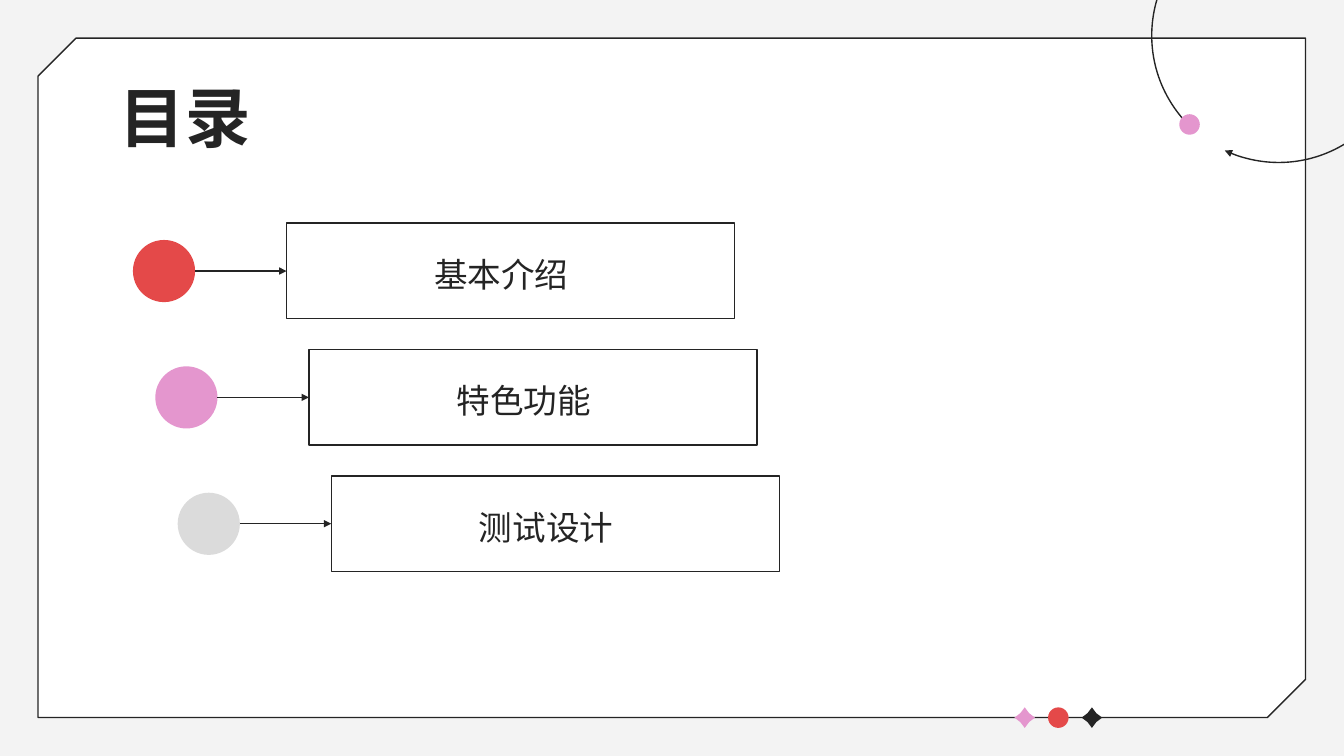
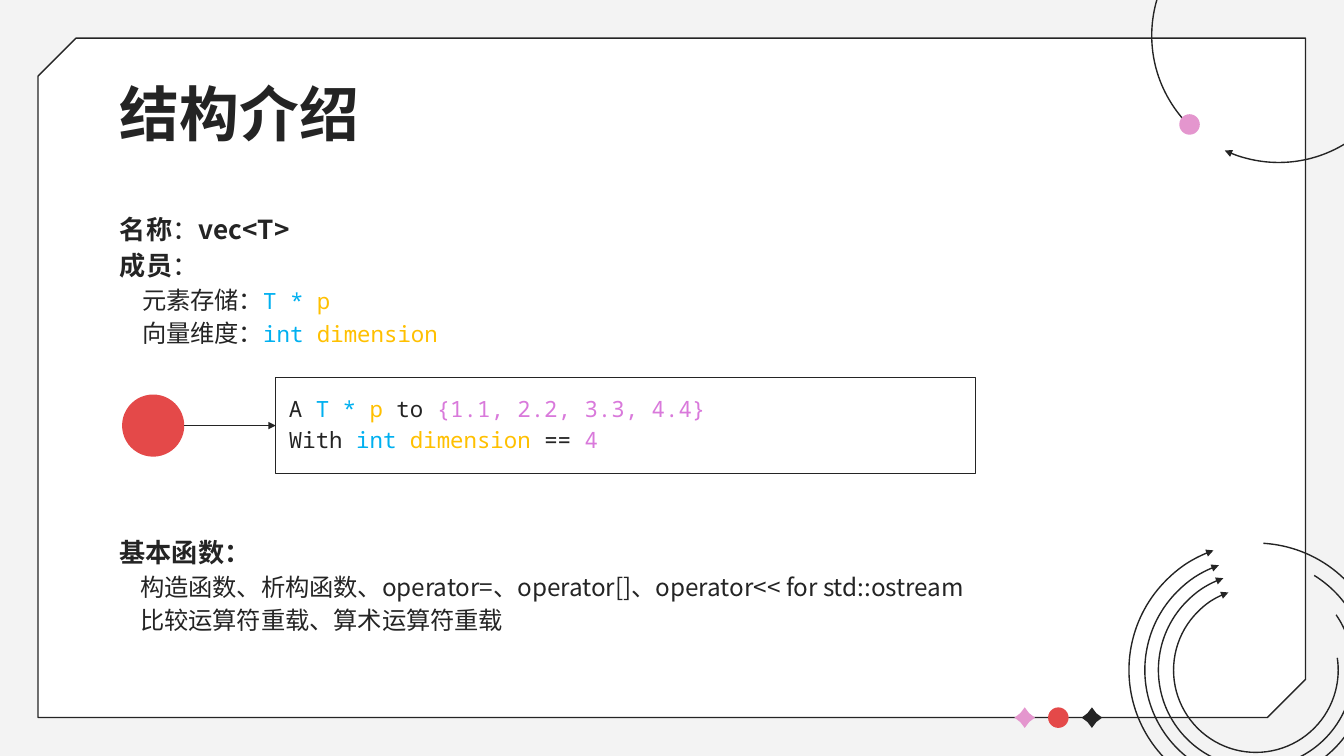
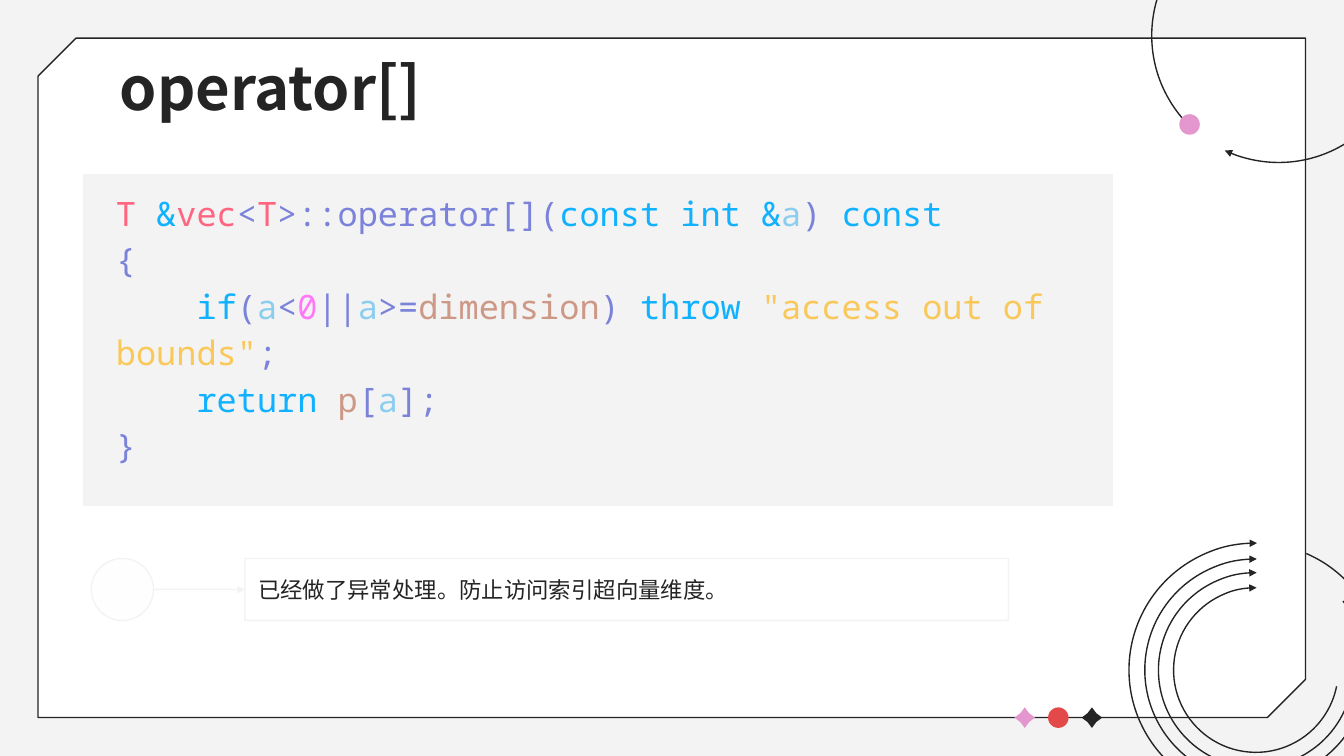
"""Builds three slides that introduce a vector class template."""
from lxml.etree import SubElement
from pptx import Presentation
from pptx.dml.color import RGBColor
from pptx.enum.shapes import MSO_CONNECTOR as Connector, MSO_SHAPE as Shape
from pptx.enum.text import MSO_ANCHOR as Anchor, MSO_AUTO_SIZE as AutoSize, PP_ALIGN as Align
from pptx.oxml.ns import qn
from pptx.util import Pt

COLORS = {
    "paper": "F3F3F3", "white": "FFFFFF", "ink": "242424",
    "pink": "E496CE", "red": "E44949", "gray": "DBDBDB",
    "faint": "E9E9E9", "pale": "FEFEFE",
    "type": "00B0F0", "member": "FFC000", "value": "D979DB",
    "template": "FF6480", "keyword": "10B1FE", "symbol": "7A82DA",
    "argument": "8BCDEF", "number": "FF78F8", "field": "CE9887", "string": "F9C859",
}
SANS, MONO = "Noto Sans CJK SC", "Noto Sans Mono"
MARGIN = 57
CIRCLE, ARROW = 33.3, 49
RINGS = [(136, 137.09), (119, 154.05), (104.4, 168.35), (88.2, 183.91)]


def rgb(name):
    """Return the named colour."""
    return RGBColor.from_string(COLORS[name])


def set_alpha(fill_owner, percent):
    """Make the solid colour inside an XML element partly transparent."""
    SubElement(fill_owner.find(".//" + qn("a:srgbClr")), qn("a:alpha"), val=str(percent * 1000))


def style_line(shape, color, width=0.75, alpha=None, arrow=False):
    """Set the outline of a shape or connector."""
    shape.line.color.rgb = rgb(color)
    shape.line.width = Pt(width)
    line = shape._element.spPr.find(qn("a:ln"))
    if alpha:
        set_alpha(line, alpha)
    if arrow:
        SubElement(line, qn("a:tailEnd"), type="triangle", w="sm", len="sm")


def add_figure(slide, kind, left, top, width, height, *, fill=None, line=None,
               line_width=0.75, alpha=None, arrow=False, rotation=0, adjust=()):
    """Add a preset shape without shadow."""
    figure = slide.shapes.add_shape(kind, Pt(left), Pt(top), Pt(width), Pt(height))
    figure.shadow.inherit = False
    figure.rotation = rotation
    for index, value in enumerate(adjust):
        figure.adjustments[index] = value
    if fill:
        figure.fill.solid()
        figure.fill.fore_color.rgb = rgb(fill)
        if alpha:
            set_alpha(figure._element.spPr.find(qn("a:solidFill")), alpha)
    else:
        figure.fill.background()
    if line:
        style_line(figure, line, line_width, alpha, arrow)
    else:
        figure.line.fill.background()
    return figure


def add_arrow(slide, left, right, y, color, alpha=None):
    """Add a horizontal arrow that points right."""
    arrow = slide.shapes.add_connector(Connector.STRAIGHT, Pt(left), Pt(y), Pt(right), Pt(y))
    style_line(arrow, color, alpha=alpha, arrow=True)
    SubElement(arrow._element.spPr, qn("a:effectLst"))


def prepare_frame(box, anchor=Anchor.TOP):
    """Give a text frame the shared insets and wrapping."""
    frame = box.text_frame
    frame.word_wrap = True
    frame.auto_size = AutoSize.NONE
    frame.vertical_anchor = anchor
    frame.margin_left = frame.margin_right = Pt(7.2)
    frame.margin_top = frame.margin_bottom = Pt(7.2)


def write(box, *spans, font=SANS, size=14, color="ink", bold=False, left=0, first=0, spacing=1.15):
    """Write one paragraph of (text, format changes) spans."""
    frame = box.text_frame
    para = frame.paragraphs[0]
    if para.runs:
        para = frame.add_paragraph()
    para.alignment = Align.LEFT
    para.line_spacing = spacing
    para.space_before = para.space_after = Pt(0)
    properties = para._p.get_or_add_pPr()
    properties.set("marL", str(Pt(left)))
    properties.set("indent", str(Pt(first)))
    SubElement(properties, qn("a:buNone"))
    for text, changes in spans:
        look = {"font": font, "size": size, "color": color, "bold": bold, **changes}
        span = para.add_run()
        span.text = text
        span.font.name = look["font"]
        span.font.size = Pt(look["size"])
        span.font.bold = look["bold"]
        span.font.color.rgb = rgb(look["color"])
        SubElement(span.font._element, qn("a:ea"), typeface=SANS)


def write_code(box, *tokens, **look):
    """Write one line of code from (text, colour) tokens."""
    write(box, *[(text, {"color": color}) for text, color in tokens], font=MONO, **look)


def place(box, left, top, width, height):
    """Bring a placeholder to the front, then move and size it."""
    box._element.getparent().append(box._element)
    box.left, box.top, box.width, box.height = Pt(left), Pt(top), Pt(width), Pt(height)
    prepare_frame(box)


def add_page(deck, layout, title, top=34, size=32, font=SANS):
    """Add a slide with the shared frame, ornaments and title."""
    page = deck.slides.add_slide(deck.slide_layouts.get_by_name(layout))
    add_figure(page, Shape.SNIP_2_DIAG_RECTANGLE, 20.4, 20.4, 679, 364,
               fill="white", line="ink", adjust=(0.056, 0))
    markers = [(Shape.STAR_4_POINT, "pink"), (Shape.OVAL, "red"), (Shape.STAR_4_POINT, "ink")]
    for index, (kind, color) in enumerate(markers):
        adjust = (0.303,) if kind == Shape.STAR_4_POINT else ()
        add_figure(page, kind, 543.5 + 18 * index, 379, 11, 11, fill=color, adjust=adjust)
    add_figure(page, Shape.ARC, 617, -49, 136, 136, line="ink", arrow=True,
               rotation=225, adjust=(162, 150.08))
    add_figure(page, Shape.OVAL, 631.8, 61.2, 11, 11, fill="pink")
    place(page.shapes.title, MARGIN, top, 607, 45.4)
    write(page.shapes.title, (title, {}), size=size, font=font, bold=True, spacing=1)
    return page


def add_rings(page, rotation):
    """Add the concentric open rings in the lower right corner."""
    for size, start in RINGS:
        add_figure(page, Shape.ARC, 672.8 - size / 2, 359 - size / 2, size, size,
                   line="ink", arrow=True, rotation=rotation, adjust=(start, 123.35))


def add_callout(page, left, top, width, height, *, fill, line="ink", circle_line=None,
                alpha=None, anchor=Anchor.TOP):
    """Add a text box with a circle and an arrow leading to it."""
    middle = top + height / 2
    box = add_figure(page, Shape.RECTANGLE, left, top, width, height, line=line, alpha=alpha)
    prepare_frame(box, anchor)
    add_figure(page, Shape.OVAL, left - ARROW - CIRCLE, middle - CIRCLE / 2, CIRCLE, CIRCLE,
               fill=fill, line=circle_line, alpha=alpha)
    add_arrow(page, left - ARROW, left, middle, line, alpha)
    return box


def build_contents(deck):
    """Build the table of contents."""
    page = add_page(deck, "Title Only", "目录", size=35, font="Roboto")
    topics = [("基本介绍", "red"), ("特色功能", "pink"), ("测试设计", "gray")]
    for index, (topic, color) in enumerate(topics):
        box = add_callout(page, 153.5 + 12 * index, 119.6 + 67.7 * index, 240, 51.2,
                          fill=color, anchor=Anchor.MIDDLE)
        write(box, (topic, {}), size=18, left=72)


def build_structure(deck):
    """Build the slide on the structure of the class."""
    page = add_page(deck, "Title and Content", "结构介绍")
    body = page.placeholders[1]
    place(body, MARGIN, 104.4, 466, 80.6)
    write(body, ("名称", {"bold": True}), ("：", {}), ("vec<T>", {"bold": True}))
    write(body, ("成员", {"bold": True}), ("：", {}))
    for label, kind, name in [("元素存储：", "T * ", "p"), ("向量维度：", "int ", "dimension")]:
        code = {"font": MONO, "size": 12}
        write(body, (label, {}), (kind, {**code, "color": "type"}),
              (name, {**code, "color": "member"}), size=13, left=12)

    example = add_callout(page, 147.7, 202.4, 375, 51.2, fill="red")
    write_code(example, ("A ", "ink"), ("T * ", "type"), ("p ", "member"), ("to ", "ink"),
               ("{1.1, 2.2, 3.3, 4.4}", "value"), size=12)
    write_code(example, ("With ", "ink"), ("int ", "type"), ("dimension", "member"),
               (" == ", "ink"), ("4", "value"), size=12)

    functions = page.shapes.add_textbox(Pt(MARGIN), Pt(277.7), Pt(557), Pt(80.6))
    prepare_frame(functions)
    write(functions, ("基本函数：", {}), bold=True)
    for text in ("构造函数、析构函数、operator=、operator[]、operator<< for std::ostream",
                 "比较运算符重载、算术运算符重载"):
        write(functions, (text, {}), size=13, left=11)
    add_rings(page, 44.9)


def build_operator(deck):
    """Build the slide on the subscript operator."""
    page = add_page(deck, "Title Only", "operator[]", top=20)
    panel = add_figure(page, Shape.RECTANGLE, 44.2, 93, 552, 178.4,
                       fill="paper", line="white", line_width=0.25)
    prepare_frame(panel)
    outer = {"size": 18, "left": 10.8}
    inner = {**outer, "first": 43.2}
    write_code(panel, ("T ", "template"), ("&", "keyword"), ("vec", "template"),
               ("<", "symbol"), ("T", "template"), (">::operator[](", "symbol"),
               ("const int &", "keyword"), ("a", "argument"), (") ", "symbol"),
               ("const", "keyword"), **outer)
    write_code(panel, ("{", "symbol"), **outer)
    write_code(panel, ("if", "keyword"), ("(", "symbol"), ("a", "argument"), ("<", "symbol"),
               ("0", "number"), ("||", "symbol"), ("a", "argument"), (">=", "symbol"),
               ("dimension", "field"), (") ", "symbol"), ("throw ", "keyword"),
               ('"access out of bounds"', "string"), (";", "symbol"), **inner)
    write_code(panel, ("return ", "keyword"), ("p", "field"), ("[", "symbol"),
               ("a", "argument"), ("];", "symbol"), **inner)
    write_code(panel, ("}", "symbol"), **outer)
    add_rings(page, 64.9)
    note = add_callout(page, 131.2, 299.2, 409, 33.2, fill="pale", line="faint",
                       circle_line="faint", alpha=50)
    write(note, ("已经做了异常处理。防止访问索引超向量维度。", {}), font="Lato", size=12)


def main():
    """Build and save the deck."""
    deck = Presentation()
    deck.slide_width, deck.slide_height = Pt(720), Pt(405)
    background = deck.slide_master.background.fill
    background.solid()
    background.fore_color.rgb = rgb("paper")
    build_contents(deck)
    build_structure(deck)
    build_operator(deck)
    deck.save("out.pptx")


if __name__ == "__main__":
    main()
